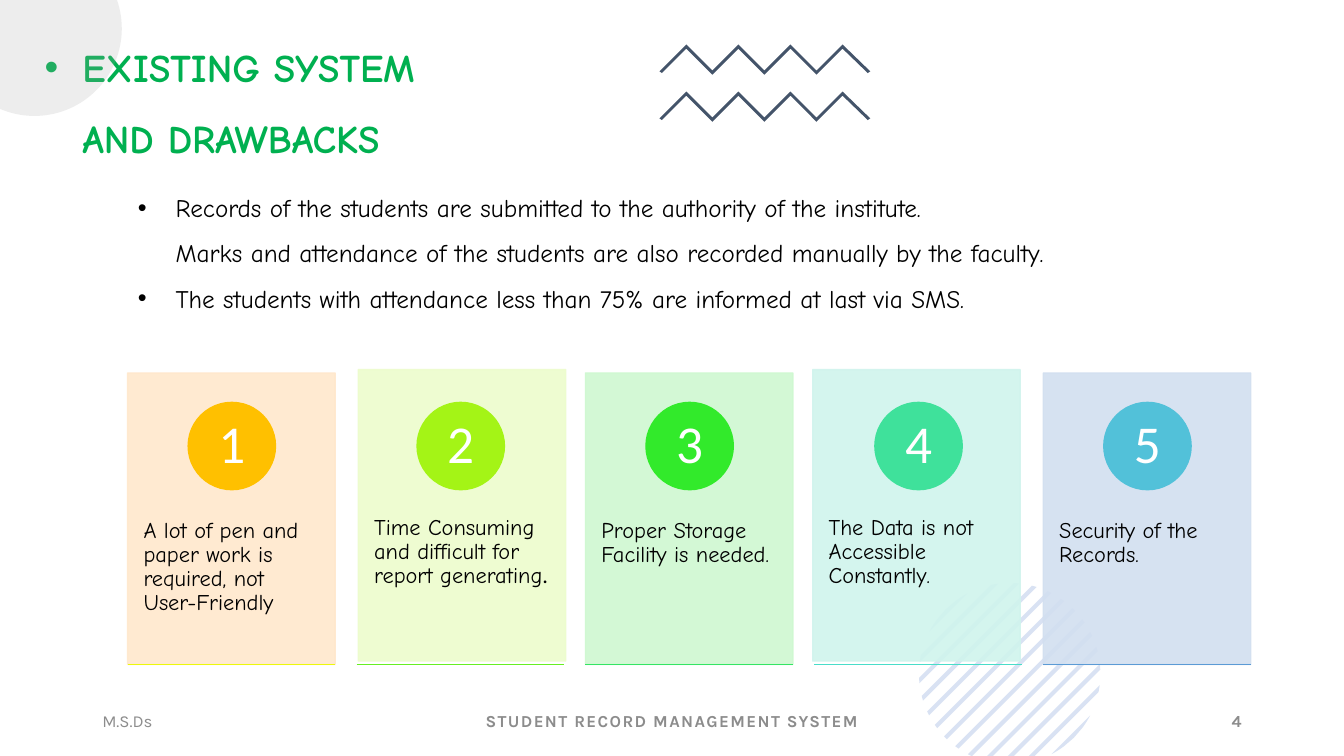
from copy import deepcopy
from dataclasses import dataclass
from math import acos, asin, cos, pi, sin, sqrt

from lxml.etree import SubElement
from pptx import Presentation
from pptx.dml.color import RGBColor
from pptx.enum.shapes import MSO_CONNECTOR as Connector, MSO_SHAPE as Preset
from pptx.enum.text import MSO_ANCHOR as Anchor, MSO_AUTO_SIZE as AutoSize, PP_ALIGN as Align
from pptx.oxml.ns import qn
from pptx.util import Emu, Inches, Pt

# The slide is a grid of 16 columns by 9 rows; all lengths count its cells
COLUMNS, ROWS = 16, 9
SLIDE_WIDTH, SLIDE_HEIGHT = Inches(13.333), Inches(7.5)
HAND, PLAIN, FOOT = "Comic Neue", "Calibri", "Karla"
BLACK, WHITE, GREY, GREEN, NAVY = "000000", "FFFFFF", "8C8C8C", "00B050", "44546A"


@dataclass
class Drawback:
    text: str
    panel: str
    badge: str
    rule: str
    shift: float = 0
    lift: float = 0
    full_stop: str = ""


@dataclass
class Footer:
    text: str
    column: float
    width: float
    align: Align
    bold: bool = True
    spacing: int = 100


DRAWBACKS = [
    Drawback("A lot of pen and paper work is required, not User-Friendly", "FFE8CC", "FFC000", "ECF90B"),
    Drawback("Time Consuming and difficult for report generating", "EDFCCD", "A4F416", "67EF21",
             0.02, 0.04, "."),
    Drawback("Proper Storage Facility is needed.", "CFF8D1", "32EA2B", "35E564"),
    Drawback("The Data is not Accessible Constantly.", "D0F4ED", "3FE19B", "49DDC9", -0.02, 0.04),
    Drawback("Security of the Records.", "D2DFF0", "52C1D9", "5B9BD5"),
]
FOOTERS = [
    Footer("M.S.Ds", 1.1, 3.6, Align.LEFT, False, 0),
    Footer("STUDENT RECORD MANAGEMENT SYSTEM", 5.3, 5.4, Align.CENTER),
    Footer("4", 11.3, 3.6, Align.RIGHT),
]


def cells(count: float) -> Emu:
    return Emu(round(count * SLIDE_HEIGHT / ROWS))


def color(value: str) -> RGBColor:
    return RGBColor.from_string(value)


def paint(shape, fill: str, opacity: int = 100, outlined: bool = True) -> None:
    shape.fill.solid()
    shape.fill.fore_color.rgb = color(fill)
    fills = [shape.fill]
    if outlined:
        shape.line.color.rgb = color(fill)
        shape.line.width = Pt(1)
        fills.append(shape.line.fill)
    else:
        shape.line.fill.background()
    if opacity < 100:
        for tint in shape._element.spPr.iter(qn("a:srgbClr")):
            SubElement(tint, qn("a:alpha"), val=str(opacity * 1000))


def add_run(paragraph, text: str, font: str, size: float, tint: str,
            bold: bool = False, spacing: int = 0):
    run = paragraph.add_run()
    run.text = text
    run.font.name, run.font.size, run.font.bold = font, Pt(size), bold
    run.font.color.rgb = color(tint)
    if spacing:
        run.font._element.set("spc", str(spacing))
    return run


def write(shape, *paragraphs: str, anchor=Anchor.TOP, align=Align.LEFT, leading: float = 1.0,
          inset: tuple = (0.12, 0.06), bullet: bool = False, **style):
    frame = shape.text_frame
    frame.word_wrap, frame.auto_size, frame.vertical_anchor = True, AutoSize.NONE, anchor
    frame.margin_left = frame.margin_right = cells(inset[0])
    frame.margin_top = frame.margin_bottom = cells(inset[1])
    for index, text in enumerate(paragraphs):
        paragraph = frame.paragraphs[0] if index == 0 else frame.add_paragraph()
        paragraph.alignment, paragraph.line_spacing = align, leading
        paragraph.space_before = paragraph.space_after = Pt(0)
        if bullet:
            layout = paragraph._p.get_or_add_pPr()
            layout.set("marL", str(cells(0.45)))
            layout.set("indent", str(-cells(0.45)))
            SubElement(layout, qn("a:buFont"), typeface="Arial")
            SubElement(layout, qn("a:buChar"), char="•")
        for number, line in enumerate(text.split("\n")):
            if number:
                paragraph.add_line_break()
                paragraph._p[-1].append(deepcopy(run.font._element))
            run = add_run(paragraph, line, **style)
    return paragraph


def place(shape, column: float, row: float, width: float, height: float) -> None:
    shape.left, shape.top = cells(column), cells(row)
    shape.width, shape.height = cells(width), cells(height)


def add_preset(shapes, preset, box: tuple, fill: str, opacity: int = 100) -> None:
    shape = shapes.add_shape(preset, *map(cells, box))
    shape.shadow.inherit = False
    paint(shape, fill, opacity)


def add_text(shapes, box: tuple, *paragraphs: str, **style):
    return write(shapes.add_textbox(*map(cells, box)), *paragraphs, **style)


def add_outline(shapes, points: list, fill: str, opacity: int = 100) -> None:
    start, *rest = [(cells(x), cells(y)) for x, y in points]
    builder = shapes.build_freeform(*start, scale=1.0)
    builder.add_line_segments(rest, close=True)
    shape = builder.convert_to_shape()
    shape.shadow.inherit = False
    paint(shape, fill, opacity, outlined=False)


def add_striped_disc(shapes, x: float, y: float, radius: float, count: int = 13) -> None:
    band, reach = 0.07, radius * sqrt(2)
    step = (2 * reach - band) / (count - 1)
    for stripe in range(count):
        upper, lower = [], []
        for part in range(5):
            offset = -reach + stripe * step + band * part / 4
            half = sqrt(max(0, radius ** 2 - offset ** 2 / 2) / 2)
            upper.append((x + offset / 2 + half, y + offset / 2 - half))
            bottom = min(ROWS, y + offset / 2 + half)
            lower.append((x + y + offset - bottom, bottom))
        add_outline(shapes, upper + lower[::-1], "4472C4", 20)


def add_zigzag(shapes, row: float) -> None:
    ridge = [(8.17 + 0.31 * i, row + 0.31 * (i % 2)) for i in range(7)]
    underside = [(x, y + 0.05) for x, y in reversed(ridge)]
    add_outline(shapes, [(7.85, row + 0.32), *ridge, (10.36, row + 0.32),
                         (10.33, row + 0.34), *underside, (7.88, row + 0.34)], NAVY)


def add_corner_disc(shapes, x: float, y: float, radius: float) -> None:
    first, last = -asin(y / radius), acos(-x / radius)
    angles = [first + (last - first) * i / 48 for i in range(49)]
    arc = [(x + radius * cos(a), y + radius * sin(a)) for a in angles]
    add_outline(shapes, [(0, 0), *arc], "A5A5A5", 20)


def add_drawback(shapes, number: int, item: Drawback) -> None:
    column, width = 1.52 + 2.725 * (number - 1), 2.47
    left, top = column + item.shift, 4.44 - item.lift
    add_preset(shapes, Preset.RECTANGLE, (left, top, width, 3.47), item.panel, 90)
    reason = add_text(shapes, (left, top + 1.31, width, 2.08), item.text, inset=(0.19, 0.43),
                      leading=0.9, font=HAND, size=16, tint=BLACK)
    if item.full_stop:
        add_run(reason, item.full_stop, PLAIN, 16, BLACK)
    add_preset(shapes, Preset.OVAL, (column + 0.72, 4.79, 1.04, 1.04), item.badge)
    add_text(shapes, (column + 0.87, 4.94, 0.74, 0.74), str(number), anchor=Anchor.MIDDLE,
             align=Align.CENTER, inset=(0.08, 0.01), leading=0.9, font=PLAIN, size=38, tint=WHITE)
    rule = shapes.add_connector(Connector.STRAIGHT, cells(column), cells(7.91),
                                cells(column + width), cells(7.91))
    rule.line.color.rgb, rule.line.width = color(item.rule), Pt(1)
    SubElement(rule._element.spPr, qn("a:effectLst"))


def main() -> None:
    deck = Presentation()
    deck.slide_width, deck.slide_height = SLIDE_WIDTH, SLIDE_HEIGHT
    slide = deck.slides.add_slide(deck.slide_layouts[1])
    shapes = slide.shapes

    # Title and list
    title, practice = slide.placeholders
    place(title, 0.41, 0.18, 12.7, 2.09)
    write(title, "EXISTING SYSTEM\nAND DRAWBACKS", bullet=True, leading=1.5,
          font=HAND, size=28, tint=GREEN, bold=True)
    place(practice, 1.52, 2.03, 13.38, 1.78)
    paint(practice, WHITE)
    write(practice, "Records of the students are submitted to the authority of the institute.\n"
          "Marks and attendance of the students are also recorded manually by the faculty.",
          "The students with attendance less than 75% are informed at last via SMS.",
          anchor=Anchor.MIDDLE, bullet=True, leading=1.5, font=HAND, size=18, tint=BLACK)

    # Decoration
    add_striped_disc(shapes.add_group_shape().shapes, 12.02, 8.02, 1.08)
    zigzags = shapes.add_group_shape().shapes
    for row in (0.53, 1.09):
        add_zigzag(zigzags, row)
    add_corner_disc(shapes, 0.41, 0.34, 1.04)

    # Footer
    for footer in FOOTERS:
        add_text(shapes, (footer.column, 8.34, footer.width, 0.48), footer.text,
                 anchor=Anchor.MIDDLE, align=footer.align, font=FOOT, size=12, tint=GREY,
                 bold=footer.bold, spacing=footer.spacing)

    # Drawback cards
    cards = shapes.add_group_shape().shapes
    for number, item in enumerate(DRAWBACKS, 1):
        add_drawback(cards, number, item)

    deck.save("out.pptx")


if __name__ == "__main__":
    main()
